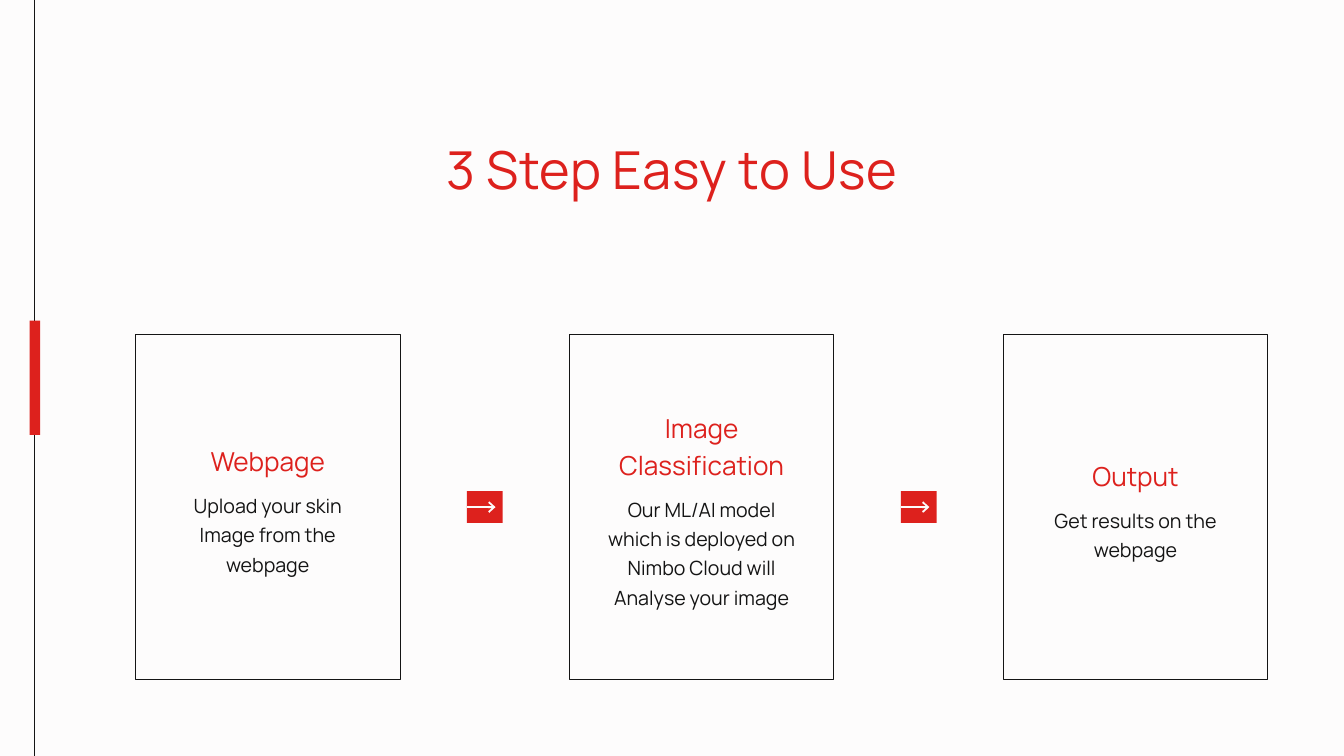
from pptx import Presentation
from pptx.dml.color import RGBColor
from pptx.enum.shapes import MSO_CONNECTOR as Link, MSO_SHAPE as Kind
from pptx.enum.text import MSO_ANCHOR as Anchor, MSO_AUTO_SIZE as Fit, PP_ALIGN as Align
from pptx.oxml.ns import qn
from pptx.util import Cm, Pt
from lxml.etree import SubElement as Sub

RED = RGBColor(0xDD, 0x21, 0x1D)
INK = RGBColor(0x14, 0x14, 0x14)
PAPER = RGBColor(0xFD, 0xFC, 0xFC)

STEPS = [
    ("Webpage", 1, "Upload your skin Image from the webpage", 3),
    ("Image Classification", 2,
     "Our ML/AI model which is deployed on Nimbo Cloud will Analyse your image", 4),
    ("Output", 1, "Get results on the webpage", 2),
]
LEFT, PITCH = 5.12, 16.4
CARD_TOP, CARD_W, CARD_H = 12.64, 10, 13.05
TEXT_W, TEXT_MID, GAP = 7.7, 19.11, 0.51


def put_text(frame, text, size, lead, color=INK, font="Manrope", space=0):
    frame.word_wrap = True
    frame.auto_size = Fit.NONE
    frame.vertical_anchor = Anchor.TOP
    frame.margin_left = frame.margin_right = 0
    frame.margin_top = frame.margin_bottom = 0
    par = frame.paragraphs[0]
    par.alignment = Align.CENTER
    par.line_spacing = Pt(lead)
    par.space_before = Pt(0)
    run = par.add_run()
    run.text = text
    run.font.name = font
    run.font.size = Pt(size)
    run.font.bold = False
    run.font.color.rgb = color
    if space:
        run.font._element.set("spc", str(space))


class Deck:
    def __init__(self, width, height):
        self.file = Presentation()
        self.file.slide_width = Cm(width)
        self.file.slide_height = Cm(height)
        self.slide = self.file.slides.add_slide(self.file.slide_layouts[5])
        fill = self.slide.background.fill
        fill.solid()
        fill.fore_color.rgb = PAPER

    def title(self, text, x, y, w, h):
        box = self.slide.shapes.title
        box.left, box.top, box.width, box.height = Cm(x), Cm(y), Cm(w), Cm(h)
        put_text(box.text_frame, text, size=56, lead=72.8, color=RED, space=60)

    def text(self, text, x, y, w, h, **style):
        box = self.slide.shapes.add_textbox(Cm(x), Cm(y), Cm(w), Cm(h))
        put_text(box.text_frame, text, **style)

    def rect(self, x, y, w, h, fill=None, line=None):
        shape = self.slide.shapes.add_shape(Kind.RECTANGLE, Cm(x), Cm(y), Cm(w), Cm(h))
        shape.shadow.inherit = False
        if fill:
            shape.fill.solid()
            shape.fill.fore_color.rgb = fill
        else:
            shape.fill.background()
        if line:
            shape.line.color.rgb = line
            shape.line.width = Pt(1)
        else:
            shape.line.fill.background()
        return shape

    def line(self, x, y, to_x, to_y, color, width, start=None, head=False):
        link = self.slide.shapes.add_connector(
            Link.STRAIGHT, Cm(x), Cm(y), Cm(to_x), Cm(to_y))
        link.line.color.rgb = color
        link.line.width = Pt(width)
        if head:
            Sub(link.line._get_or_add_ln(), qn("a:tailEnd"),
                type="arrow", w="lg", len="med")
        Sub(link._element.spPr, qn("a:effectLst"))
        if start:
            link.begin_connect(start, 1)

    def arrow(self, x, y, w, h):
        tile = self.rect(x, y, w, h, fill=RED)
        mid = y + h / 2
        self.line(x, mid, x + 0.8 * w, mid, PAPER, 2.25, start=tile, head=True)

    def card(self, x, head, head_rows, body, body_rows):
        self.rect(x, CARD_TOP, CARD_W, CARD_H, line=INK)
        head_h = 1.38 * head_rows - 0.08
        body_h = 1.11 * body_rows - 0.2
        left = x + (CARD_W - TEXT_W) / 2
        top = TEXT_MID - (head_h + GAP + body_h) / 2
        self.text(head, left, top, TEXT_W, head_h, size=28, lead=39.2, color=RED)
        self.text(body, left, top + head_h + GAP, TEXT_W, body_h, size=21, lead=31.5)


def main():
    deck = Deck(50.8, 28.58)
    deck.title("3 Step Easy to Use", 9, 5, 32.8, 2.51)
    deck.line(1.31, 0, 1.31, 28.58, INK, 0.75)
    deck.rect(1.12, 12.12, 0.4, 4.32, fill=RED)
    for num, step in enumerate(STEPS):
        x = LEFT + num * PITCH
        deck.card(x, *step)
        if num < len(STEPS) - 1:
            deck.arrow(x + 12.53, 18.57, 1.35, 1.2)
    deck.file.save("out.pptx")


if __name__ == "__main__":
    main()
